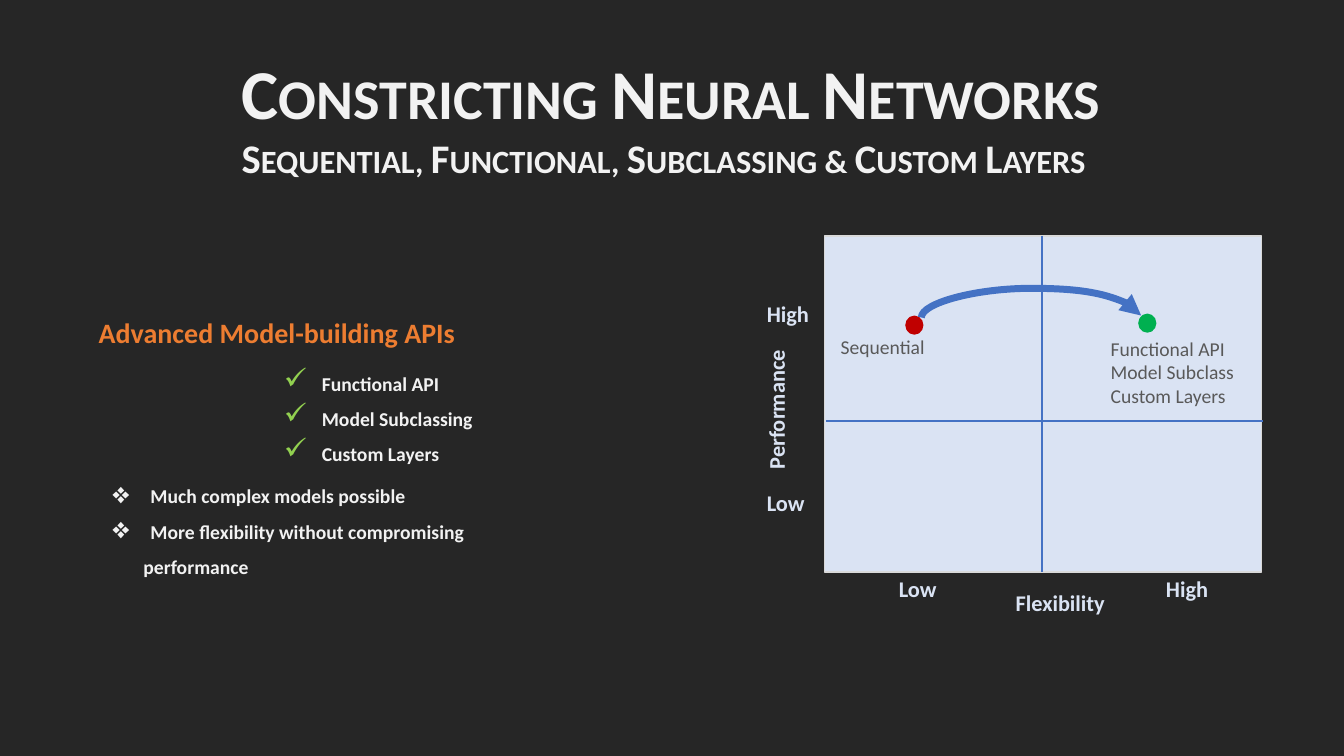
from dataclasses import dataclass

from lxml import etree
from pptx import Presentation
from pptx.dml.color import RGBColor
from pptx.enum import shapes, text
from pptx.oxml import ns
from pptx.util import Pt


@dataclass(frozen=True)
class Theme:
    font: str = "Calibri"
    background: str = "262626"
    light: str = "F2F2F2"
    accent: str = "ED7D31"
    check: str = "92D050"
    axis: str = "DAE3F3"
    border: str = "D9D9D9"
    line: str = "4472C4"
    note: str = "595959"
    start: str = "C00000"
    goal: str = "00B050"
    title_size: int = 50
    subtitle_size: int = 29
    heading_size: int = 20
    axis_size: int = 16
    body_size: int = 14


THEME = Theme()
BULLET_INDENT = 27


def rgb(color):
    return RGBColor.from_string(color)


def add_xml(parent, tag, **attributes):
    return etree.SubElement(parent, ns.qn(tag), attributes)


def add_text_box(slide, box, wrap=True):
    label = slide.shapes.add_textbox(*map(Pt, box))
    label.text_frame.word_wrap = wrap
    label.text_frame.auto_size = text.MSO_AUTO_SIZE.SHAPE_TO_FIT_TEXT
    return label


def add_line(frame, words, size, color, bold=False, align=None, spacing=None):
    first = not frame.paragraphs[0].runs
    paragraph = frame.paragraphs[0] if first else frame.add_paragraph()
    paragraph.alignment = align
    paragraph.line_spacing = spacing
    run = paragraph.add_run()
    run.text = words
    run.font.name = THEME.font
    run.font.size = Pt(size)
    run.font.bold = bold
    run.font.color.rgb = rgb(color)
    return paragraph


def add_title(slide, box, lines):
    frame = add_text_box(slide, box).text_frame
    for words, size in lines:
        paragraph = add_line(frame, words, size, THEME.light, True,
                             text.PP_ALIGN.JUSTIFY)
        paragraph.runs[0].font._element.set("cap", "small")


def add_bullets(slide, box, items, mark, mark_color):
    frame = add_text_box(slide, box).text_frame
    for words in items:
        paragraph = add_line(frame, words, THEME.body_size, THEME.light, True,
                             spacing=1.5)
        props = paragraph._p.get_or_add_pPr()
        props.set("marL", str(Pt(BULLET_INDENT)))
        props.set("indent", str(-Pt(BULLET_INDENT)))
        add_xml(add_xml(props, "a:buClr"), "a:srgbClr", val=mark_color)
        add_xml(props, "a:buSzPct", val="150000")
        add_xml(props, "a:buChar", char=mark)
    return frame


def add_axis_label(slide, words, box, align=None, rotation=0):
    label = add_text_box(slide, box, wrap=False)
    label.rotation = rotation
    add_line(label.text_frame, words, THEME.axis_size, THEME.axis, True, align)


def add_note(slide, box, lines):
    frame = add_text_box(slide, box).text_frame
    for words in lines:
        add_line(frame, words, THEME.body_size, THEME.note)


def add_filled(slide, kind, box, fill, border=None):
    shape = slide.shapes.add_shape(kind, *map(Pt, box))
    shape.shadow.inherit = False
    shape.fill.solid()
    shape.fill.fore_color.rgb = rgb(fill)
    if border:
        shape.line.color.rgb = rgb(border)
        shape.line.width = Pt(1)
    else:
        shape.line.fill.background()


def add_connector(slide, kind, ends, width):
    connector = slide.shapes.add_connector(kind, *map(Pt, ends))
    connector.line.color.rgb = rgb(THEME.line)
    connector.line.width = Pt(width)
    add_xml(connector._element.spPr, "a:effectLst")
    return connector


def add_arc_arrow(slide, center, span, drop, rise):
    """Curved arrow from left to right: a connector turned by 90 degrees."""
    x, y = center
    ends = (x + drop / 2, y + span / 2, x - drop / 2, y - span / 2)
    arrow = add_connector(slide, shapes.MSO_CONNECTOR.CURVE, ends, 5)
    props = arrow._element.spPr
    props.find(ns.qn("a:xfrm")).set("rot", "5400000")
    guides = props.find(ns.qn("a:prstGeom")).get_or_add_avLst()
    add_xml(guides, "a:gd", name="adj1",
            fmla=f"val {round(rise / drop * 100000)}")
    add_xml(arrow.line._get_or_add_ln(), "a:tailEnd", type="triangle")


def add_quadrants(slide):
    left, top, width, height = 589, 168.5, 312, 240
    middle_x, middle_y = 744.5, 301
    straight = shapes.MSO_CONNECTOR.STRAIGHT
    center = text.PP_ALIGN.CENTER

    # Field and dividers
    add_filled(slide, shapes.MSO_SHAPE.RECTANGLE, (left, top, width, height),
               THEME.axis, THEME.border)
    add_connector(slide, straight,
                  (middle_x, top, middle_x, top + height), 1.5)
    add_connector(slide, straight,
                  (left + 1, middle_y, left + width + 1, middle_y), 1.5)

    # Axis labels
    add_axis_label(slide, "High", (540.7, 211, 50.4, 26.6))
    add_axis_label(slide, "High", (825.8, 407, 50.4, 26.6))
    add_axis_label(slide, "Low", (540.7, 345.6, 46, 26.6))
    add_axis_label(slide, "Low", (635, 407.5, 46, 26.6))
    add_axis_label(slide, "Flexibility", (712, 417.6, 90.7, 26.6), center)
    add_axis_label(slide, "Performance", (498.2, 279.4, 112.3, 26.6), center,
                   270)

    # Points, their notes and the step between them
    for x, y, color in ((646.6, 225.4, THEME.start), (813, 224, THEME.goal)):
        add_filled(slide, shapes.MSO_SHAPE.OVAL, (x, y, 13, 13.7), color)
    add_note(slide, (786.2, 236.9, 119.5, 58.3),
             ["Functional API", "Model Subclass", "Custom Layers"])
    add_note(slide, (593.3, 235.4, 99.4, 24.5), ["Sequential"])
    add_arc_arrow(slide, (736.6, 226.1), span=157, drop=1.4, rise=21)


def main():
    deck = Presentation()
    deck.slide_width, deck.slide_height = Pt(960), Pt(540)
    slide = deck.slides.add_slide(deck.slide_layouts[6])
    slide.background.fill.solid()
    slide.background.fill.fore_color.rgb = rgb(THEME.background)

    # Title
    add_title(slide, (165.6, 31.7, 736.6, 103), [
        ("Constricting Neural Networks", THEME.title_size),
        ("Sequential, Functional, Subclassing & Custom Layers",
         THEME.subtitle_size),
    ])

    # Model-building APIs
    heading = add_text_box(slide, (63.4, 210.2, 363.6, 38.9))
    add_line(heading.text_frame, "Advanced Model-building APIs",
             THEME.heading_size, THEME.accent, True, spacing=1.5)
    add_bullets(slide, (195.8, 253.4, 208, 80.6),
                ["Functional API", "Model Subclassing", "Custom Layers"],
                "✓", THEME.check)
    benefits = add_bullets(slide, (73.4, 334, 311, 80.6),
                           ["Much complex models possible",
                            "More flexibility without compromising"],
                           "❖", THEME.light)
    ending = add_line(benefits, "performance", THEME.body_size, THEME.light,
                      True, spacing=1.5)
    ending._p.get_or_add_pPr().set("marL", str(Pt(22)))

    # Performance against flexibility
    add_quadrants(slide)
    deck.save("out.pptx")


if __name__ == "__main__":
    main()
